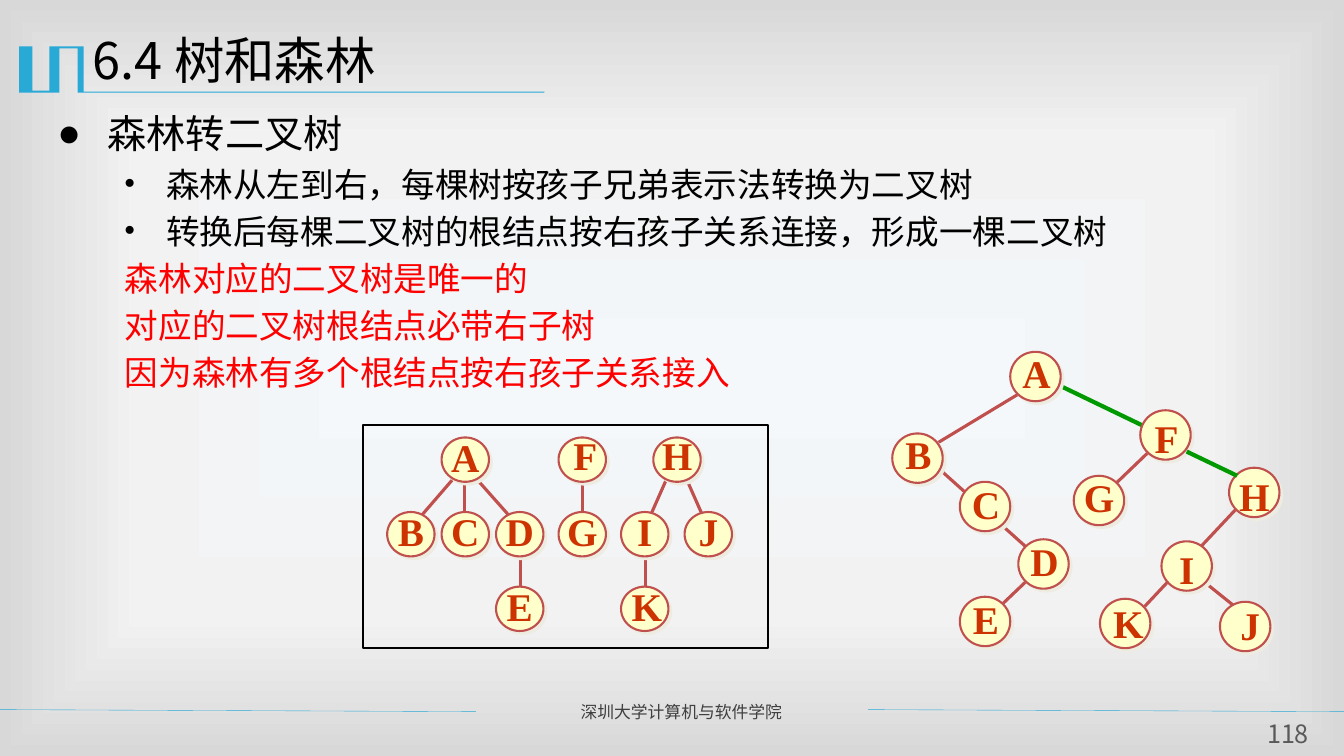
from pptx import Presentation
from pptx.dml.color import RGBColor
from pptx.enum.shapes import MSO_CONNECTOR, MSO_SHAPE
from pptx.enum.text import MSO_ANCHOR, PP_ALIGN
from pptx.oxml import parse_xml
from pptx.oxml.ns import nsdecls, qn
from pptx.util import Inches, Pt
from lxml.etree import SubElement

CJK_FONT = "Noto Sans CJK SC"
LETTER_FONT = "Times New Roman"
BLACK = RGBColor(0x00, 0x00, 0x00)
RED = RGBColor(0xFF, 0x00, 0x00)
SKY_BLUE = RGBColor(0x28, 0xA9, 0xD6)
FOOTER_GRAY = RGBColor(0x3F, 0x3F, 0x3F)
NUMBER_GRAY = RGBColor(0x59, 0x59, 0x59)
GREEN = RGBColor(0x00, 0x99, 0x00)
BRICK = RGBColor(0xC0, 0x50, 0x4D)
CREAM = RGBColor(0xFF, 0xFF, 0xCC)
LETTER_RED = RGBColor(0xCC, 0x33, 0x00)
SHADOW_COLOR = RGBColor(0xEE, 0xEC, 0xE1)
BACKGROUND_STOPS = [(0, "F4F8FB"), (63, "F2F2F2"), (100, "D8D8D8")]
LINE_HEIGHT = 1.2

BODY_LINES = [  # text, size, color, margin, indent, bullet
    ("森林转二叉树", 28, BLACK, 0.5, -0.5, "●"),
    ("森林从左到右，每棵树按孩子兄弟表示法转换为二叉树", 24, BLACK, 1.08, -0.42, "•"),
    ("转换后每棵二叉树的根结点按右孩子关系连接，形成一棵二叉树", 24, BLACK, 1.08, -0.42, "•"),
    ("森林对应的二叉树是唯一的", 24, RED, 0.67, 0, None),
    ("对应的二叉树根结点必带右子树", 24, RED, 0.67, 0, None),
    ("因为森林有多个根结点按右孩子关系接入", 24, RED, 0.67, 0, None),
]

# Nodes: letter -> (left, top, letter shift right, letter shift down).
# Edges: (from x, from y, to x, to y). All are relative to the tree's corner.
ROW_1, ROW_2, ROW_3 = 0.12, 0.86, 1.6
FOREST_NODES = {
    "A": (0.78, ROW_1, 0, -0.03), "F": (1.94, ROW_1, 0.03, -0.05),
    "H": (2.88, ROW_1, 0, -0.05), "B": (0.24, ROW_2, 0, -0.03),
    "C": (0.78, ROW_2, 0, -0.03), "D": (1.32, ROW_2, 0, -0.03),
    "G": (1.94, ROW_2, 0, -0.03), "I": (2.56, ROW_2, 0, -0.03),
    "J": (3.19, ROW_2, 0, -0.03), "E": (1.32, ROW_3, 0, -0.03),
    "K": (2.56, ROW_3, 0.02, -0.03),
}
FOREST_EDGES = [
    (3.19, 0.49, 3.42, 1.01), (3.03, 0.49, 2.8, 1.01),
    (1.09, 0.49, 1.48, 0.93), (0.93, 0.49, 0.55, 0.93),
    (2.8, 1.23, 2.8, 1.68), (1.56, 1.23, 1.56, 1.68),
    (2.18, 0.49, 2.18, 0.93), (1.01, 0.49, 1.01, 0.93),
]
BINARY_NODES = {
    "A": (1.17, 0, 0.01, -0.04), "B": (0, 0.81, 0.01, -0.04),
    "C": (0.67, 1.29, 0.01, -0.03), "D": (1.25, 1.86, 0.01, -0.03),
    "E": (0.67, 2.43, 0.01, -0.03), "F": (2.46, 0.58, 0.01, 0.03),
    "G": (1.8, 1.23, 0, -0.04), "H": (3.34, 1.15, 0, 0.03),
    "I": (2.67, 1.88, 0, 0.03), "J": (3.25, 2.48, 0.05, -0.02),
    "K": (2.06, 2.45, 0.03, -0.01),
}
BINARY_EDGES = [
    (1.42, 2.19, 1, 2.59), (0.34, 1.05, 1.42, 2.02), (1.25, 0.42, 0.34, 0.97),
    (3.09, 2.28, 3.5, 2.61), (3.42, 1.55, 2.5, 2.53), (2.63, 0.91, 2.13, 1.39),
]


def add_run(paragraph, text, size, color, name=CJK_FONT, bold=False):
    run = paragraph.add_run()
    run.text = text
    run.font.size = Pt(size)
    run.font.bold = bold
    run.font.color.rgb = color
    run.font.name = name
    SubElement(run._r.get_or_add_rPr(), qn("a:ea")).set("typeface", name)


def add_line(shapes, start_x, start_y, end_x, end_y, color, width):
    line = shapes.add_connector(MSO_CONNECTOR.STRAIGHT, Inches(start_x), Inches(start_y),
                                Inches(end_x), Inches(end_y))
    line.line.color.rgb = color
    line.line.width = Pt(width)
    SubElement(line._element.spPr, qn("a:effectLst"))


def add_text_box(shapes, left, top, width, height):
    box = shapes.add_textbox(Inches(left), Inches(top), Inches(width), Inches(height))
    box.text_frame.word_wrap = True
    return box.text_frame


def set_background(slide):
    stops = "".join(f'<a:gs pos="{position * 1000}"><a:srgbClr val="{color}"/></a:gs>'
                    for position, color in BACKGROUND_STOPS)
    slide._element.cSld.insert(0, parse_xml(
        f'<p:bg {nsdecls("p", "a")}><p:bgPr><a:gradFill rotWithShape="1"><a:gsLst>{stops}</a:gsLst>'
        '<a:path path="rect"><a:fillToRect l="50000" t="50000" r="50000" b="50000"/></a:path>'
        '</a:gradFill><a:effectLst/></p:bgPr></p:bg>'))


def add_title_ornament(slide, left, top):
    """Meander band that runs out into the rule under the title."""
    outline = [(0.64, 0), (0.64, 0.45), (5.21, 0.45), (5.21, 0.46), (0.58, 0.46), (0.58, 0.02),
               (0.4, 0.02), (0.4, 0.46), (0, 0.46), (0, 0), (0.13, 0), (0.13, 0.44),
               (0.3, 0.44), (0.3, 0)]
    points = [(Inches(left + x), Inches(top + y)) for x, y in outline]
    builder = slide.shapes.build_freeform(*points[0])
    builder.add_line_segments(points[1:], close=True)
    ornament = builder.convert_to_shape()
    ornament.shadow.inherit = False
    ornament.fill.solid()
    ornament.fill.fore_color.rgb = SKY_BLUE
    ornament.line.fill.background()


def format_title(slide, left, top, width, height):
    title = slide.shapes.title
    title.left, title.top, title.width, title.height = map(Inches, (left, top, width, height))
    title.text_frame.vertical_anchor = MSO_ANCHOR.TOP
    paragraph = title.text_frame.paragraphs[0]
    paragraph.alignment = PP_ALIGN.LEFT
    paragraph.line_spacing = Pt(36 * LINE_HEIGHT)
    add_run(paragraph, "6.4 树和森林", 36, BLACK)


def add_body(slide, left, top, width, height):
    frame = add_text_box(slide.shapes, left, top, width, height)
    for index, (text, size, color, margin, indent, bullet) in enumerate(BODY_LINES):
        paragraph = frame.add_paragraph() if index else frame.paragraphs[0]
        paragraph.line_spacing = Pt(size * LINE_HEIGHT)
        paragraph.space_before = Pt(size * 0.2 if index else 0)
        properties = paragraph._p.get_or_add_pPr()
        properties.set("marL", str(Inches(margin)))
        properties.set("indent", str(Inches(indent)))
        if bullet:
            SubElement(properties, qn("a:buFont")).set("typeface", LETTER_FONT)
            SubElement(properties, qn("a:buChar")).set("char", bullet)
        add_run(paragraph, text, size, color)


def add_footer(slide, top):
    for start_x, end_x in ((0, 4.72), (8.61, 13.33)):
        add_line(slide.shapes, start_x, top + 0.13, end_x, top + 0.15, SKY_BLUE, 0.25)
    school = add_text_box(slide.shapes, 5.66, top, 2.85, 0.3).paragraphs[0]
    school.line_spacing = Pt(12 * LINE_HEIGHT)
    add_run(school, "深圳大学计算机与软件学院", 12, FOOTER_GRAY)
    frame = add_text_box(slide.shapes, 12.48, top + 0.22, 0.59, 0.31)
    frame.margin_left = frame.margin_right = frame.margin_top = frame.margin_bottom = 0
    number = frame.paragraphs[0]
    number.alignment = PP_ALIGN.CENTER
    number.line_spacing = Pt(18 * LINE_HEIGHT)
    add_run(number, "118", 18, NUMBER_GRAY)


def add_node(shapes, letter, left, top, width, height, shift_x, shift_y):
    disc = shapes.add_shape(MSO_SHAPE.OVAL, Inches(left), Inches(top), Inches(width), Inches(height))
    disc.fill.solid()
    disc.fill.fore_color.rgb = CREAM
    disc.line.color.rgb = BRICK
    disc.line.width = Pt(1.5)
    disc._element.spPr.append(parse_xml(
        f'<a:effectLst {nsdecls("a")}><a:outerShdw dist="{Pt(2.8)}" dir="2700000" algn="ctr" '
        f'rotWithShape="0"><a:srgbClr val="{SHADOW_COLOR}"/></a:outerShdw></a:effectLst>'))
    frame = add_text_box(shapes, left + width / 2 + shift_x - 0.25,
                         top + height / 2 + shift_y - 0.285, 0.5, 0.57)
    frame.word_wrap = False
    frame.vertical_anchor = MSO_ANCHOR.MIDDLE
    frame.paragraphs[0].alignment = PP_ALIGN.CENTER
    add_run(frame.paragraphs[0], letter, 28, LETTER_RED, LETTER_FONT, bold=True)


def add_tree(shapes, left, top, disc_width, disc_height, nodes, edges):
    for start_x, start_y, end_x, end_y in edges:
        add_line(shapes, left + start_x, top + start_y, left + end_x, top + end_y, BRICK, 2.25)
    for letter, (x, y, shift_x, shift_y) in nodes.items():
        add_node(shapes, letter, left + x, top + y, disc_width, disc_height, shift_x, shift_y)


def add_forest(slide, left, top, width, height):
    shapes = slide.shapes.add_group_shape().shapes
    add_tree(shapes, left, top, 0.47, 0.44, FOREST_NODES, FOREST_EDGES)
    frame = shapes.add_shape(MSO_SHAPE.RECTANGLE, Inches(left), Inches(top),
                             Inches(width), Inches(height))
    frame.shadow.inherit = False
    frame.fill.background()
    frame.line.color.rgb = BLACK
    frame.line.width = Pt(1.5)


def add_binary_tree(slide, left, top):
    """Converted tree; green links join the roots of the forest, A to F to H."""
    shapes = slide.shapes.add_group_shape().shapes
    add_line(shapes, left + 1.67, top + 0.34, left + 2.5, top + 0.74, GREEN, 3)
    add_tree(shapes, left, top, 0.5, 0.49, BINARY_NODES, BINARY_EDGES)
    add_line(shapes, left + 2.92, top + 0.99, left + 3.42, top + 1.23, GREEN, 3)


def main():
    presentation = Presentation()
    presentation.slide_width, presentation.slide_height = Inches(13.33), Inches(7.5)
    slide = presentation.slides.add_slide(presentation.slide_layouts[5])
    set_background(slide)
    add_title_ornament(slide, 0.19, 0.46)
    format_title(slide, 0.82, 0.24, 12, 0.87)
    add_body(slide, 0.47, 1.04, 12.13, 2.25)
    add_footer(slide, 6.91)
    add_binary_tree(slide, 8.85, 3.49)
    add_forest(slide, 3.6, 4.22, 4.02, 2.21)
    presentation.save("out.pptx")


if __name__ == "__main__":
    main()
